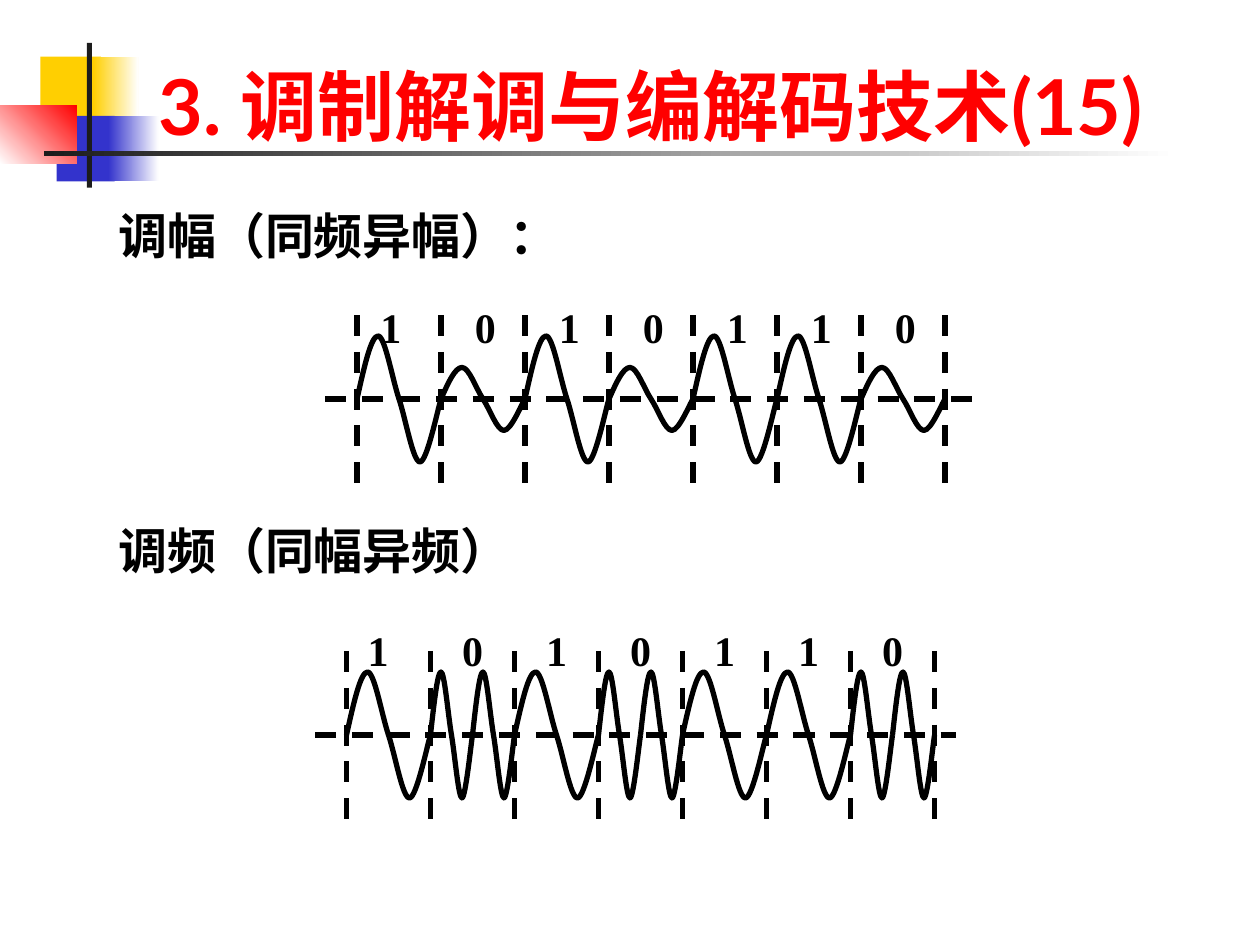
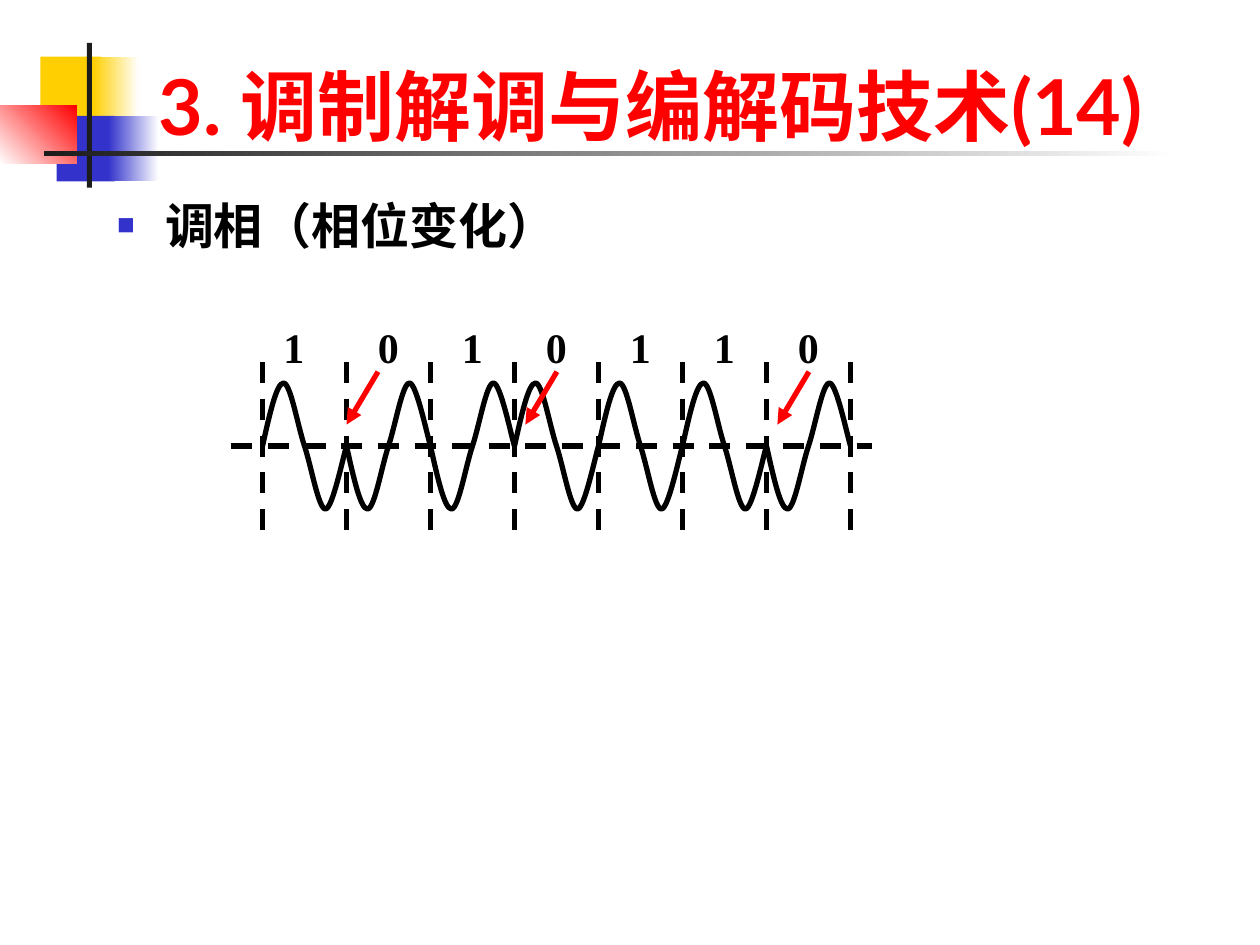
from dataclasses import dataclass
from itertools import pairwise

from lxml.etree import SubElement
from pptx import Presentation
from pptx.dml.color import RGBColor as RGB
from pptx.enum.dml import MSO_LINE
from pptx.enum.shapes import MSO_CONNECTOR, MSO_SHAPE
from pptx.enum.text import MSO_ANCHOR, MSO_AUTO_SIZE, PP_ALIGN
from pptx.oxml.ns import qn
from pptx.util import Inches, Pt


@dataclass(frozen=True)
class Theme:
    black = RGB.from_string("000000")
    white = RGB.from_string("FFFFFF")
    red = RGB.from_string("FF0000")
    yellow = RGB.from_string("FFCF01")
    blue = RGB.from_string("3333CC")
    charcoal = RGB.from_string("1C1C1C")
    title_font = "Lato"
    chinese_font = "Noto Sans CJK SC"
    digit_font = "Times New Roman"
    title_size = Pt(44)
    text_size = Pt(28)
    digit_size = Pt(24)
    stroke = Pt(3)


theme = Theme()


def add_span(para, text, font, size, color=theme.black):
    """Add a bold run whose Chinese characters use the Chinese font."""
    span = para.add_run()
    span.text = text
    span.font.name, span.font.size, span.font.bold = font, size, True
    span.font.color.rgb = color
    east_asian = SubElement(span.font._element, qn("a:ea"))
    east_asian.set("typeface", theme.chinese_font)


def add_stroke(shapes, start, end, color=theme.black):
    """Add a straight line between two points given in inches."""
    stroke = shapes.add_connector(MSO_CONNECTOR.STRAIGHT, *map(Inches, start + end))
    stroke.line.color.rgb = color
    stroke.line.width = theme.stroke
    SubElement(stroke.element.spPr, qn("a:effectLst"))
    return stroke


deck = Presentation()
deck.slide_width, deck.slide_height = Inches(10), Inches(7.5)
modulation_page = deck.slides.add_slide(deck.slide_layouts.get_by_name("Title Only"))
phase_page = deck.slides.add_slide(deck.slide_layouts.get_by_name("Title and Content"))

# Corner ornament: drawn once, then moved to the master
ornament = [
    ((0.32, 0.45, 0.48, 0.52), theme.yellow, None, 0),
    ((0.74, 0.45, 0.36, 0.52), theme.yellow, theme.white, 0),
    ((0.45, 0.92, 0.46, 0.52), theme.blue, None, 0),
    ((0.86, 0.92, 0.4, 0.52), theme.blue, theme.white, 0),
    ((0, 0.84, 0.61, 0.46), theme.white, theme.red, 45),
    ((0.69, 0.34, 0.04, 1.15), theme.charcoal, None, 0),
    ((0.35, 1.2, 9, 0.04), theme.charcoal, theme.white, 0),
]
for place, color, fade_color, angle in ornament:
    block = modulation_page.shapes.add_shape(MSO_SHAPE.RECTANGLE, *map(Inches, place))
    block.shadow.inherit = False
    block.line.fill.background()
    if fade_color is None:
        block.fill.solid()
        block.fill.fore_color.rgb = color
    else:
        block.fill.gradient()
        block.fill.gradient_angle = angle
        for stop, stop_color in zip(block.fill.gradient_stops, (color, fade_color)):
            stop.color.rgb = stop_color
    deck.slide_master.shapes.element.append(block.element)

# Titles
for page, number in ((modulation_page, 15), (phase_page, 14)):
    title = page.shapes.title
    title.left, title.top, title.width, title.height = map(Inches, (1.16, 0.25, 8.52, 1))
    frame = title.text_frame
    frame.auto_size = MSO_AUTO_SIZE.NONE
    frame.vertical_anchor = MSO_ANCHOR.BOTTOM
    para = frame.paragraphs[0]
    para.alignment = PP_ALIGN.LEFT
    add_span(para, f"3. 调制解调与编解码技术({number})", theme.title_font, theme.title_size, theme.red)

# Captions of the two diagrams on the first slide
for place, caption in (
    ((0.84, 1.58, 3.92, 0.71), "调幅（同频异幅）："),
    ((0.84, 4.08, 3.42, 0.58), "调频（同幅异频）"),
):
    box = modulation_page.shapes.add_textbox(*map(Inches, place))
    box.text_frame.word_wrap = True
    add_span(box.text_frame.paragraphs[0], caption, theme.chinese_font, theme.text_size)

# Bulleted list on the second slide
body = phase_page.placeholders[1]
body.left, body.top, body.width, body.height = map(Inches, (0.83, 1.5, 8.79, 5.21))
body.text_frame.auto_size = MSO_AUTO_SIZE.NONE
para = body.text_frame.paragraphs[0]
props = para._p.get_or_add_pPr()
props.set("marL", str(Inches(0.38)))
props.set("indent", str(-Inches(0.38)))
bullet_color = SubElement(props, qn("a:buClr"))
SubElement(bullet_color, qn("a:srgbClr")).set("val", str(theme.blue))
SubElement(props, qn("a:buSzPct")).set("val", "60000")
SubElement(props, qn("a:buFont")).set("typeface", theme.digit_font)
SubElement(props, qn("a:buChar")).set("char", "■")
para.space_before = Pt(0)
add_span(para, "调相（相位变化）", theme.chinese_font, theme.text_size)

# One cycle as Bezier knots: x in cycles, y in amplitudes
knots = [
    (0, 0), (1 / 12, 0.5), (1 / 6, 1), (1 / 4, 1), (1 / 3, 1), (5 / 12, 1 / 3), (1 / 2, 0),
    (7 / 12, -1 / 3), (2 / 3, -1), (3 / 4, -1), (5 / 6, -1), (0.96, -0.17), (1, 0),
]

# Signal diagrams: amplitude, frequency and phase modulation of the same bits
bits = "1010110"
bit_width = 2 / 3
phase_signs = []
sign = 1
for bit in bits:
    sign = -sign if bit == "0" else sign
    phase_signs.append(sign)

amplitude_waves = [(0.5 if bit == "1" else 0.25, 1) for bit in bits]
frequency_waves = [(0.5, 1 if bit == "1" else 2) for bit in bits]
phase_waves = [(0.5 * sign, 1) for sign in phase_signs]
diagrams = [
    (modulation_page, amplitude_waves, 17 / 6, 19 / 6, 0.25, (2.92, 2.34), []),
    (modulation_page, frequency_waves, 2.75, 35 / 6, 0.17, (2.82, 4.91), []),
    (phase_page, phase_waves, 25 / 12, 3.54, 0.17, (2.15, 2.5), [2.75, 4.17, 6.17]),
]
for page, waves, left, axis_y, overhang, label_place, arrow_tips in diagrams:
    shapes = page.shapes.add_group_shape().shapes
    edges = [left + index * bit_width for index in range(len(bits) + 1)]

    guides = [((x, axis_y - bit_width), (x, axis_y + bit_width)) for x in edges]
    guides.append(((left - 0.25, axis_y), (edges[-1] + overhang, axis_y)))
    for start, end in guides:
        add_stroke(shapes, start, end).line.dash_style = MSO_LINE.DASH

    for (start, end), (amplitude, cycles) in zip(pairwise(edges), waves):
        length = (end - start) / cycles
        for turn in range(cycles):
            points = [
                (Inches(start + (turn + x) * length), Inches(axis_y - y * amplitude))
                for x, y in knots
            ]
            builder = shapes.build_freeform(*points[0])
            builder.add_line_segments(points[1:], close=False)
            wave = builder.convert_to_shape()
            wave.shadow.inherit = False
            wave.fill.background()
            wave.line.color.rgb = theme.black
            wave.line.width = theme.stroke

            # Every three straight segments become one Bezier curve
            segments = list(wave.element.iter(qn("a:lnTo")))
            outline = segments[0].getparent()
            for first in range(0, len(segments), 3):
                curve = SubElement(outline, qn("a:cubicBezTo"))
                for segment in segments[first:first + 3]:
                    curve.append(segment[0])
                    outline.remove(segment)

    label = shapes.add_textbox(*map(Inches, label_place + (4.45, 0.5)))
    label.text_frame.word_wrap = True
    label.text_frame.margin_right = 0
    para = label.text_frame.paragraphs[0]
    tabs = SubElement(para._p.get_or_add_pPr(), qn("a:tabLst"))
    for index in range(len(bits) - 1):
        tab = SubElement(tabs, qn("a:tab"))
        tab.set("pos", str(Inches(0.75 + index * bit_width)))
        tab.set("algn", "l")
    add_span(para, "\t".join(bits), theme.digit_font, theme.digit_size)

    for tip in arrow_tips:
        arrow = add_stroke(shapes, (tip + 0.25, 2.95), (tip, 3.37), theme.red)
        SubElement(arrow.line._get_or_add_ln(), qn("a:tailEnd")).set("type", "triangle")

deck.save("out.pptx")
